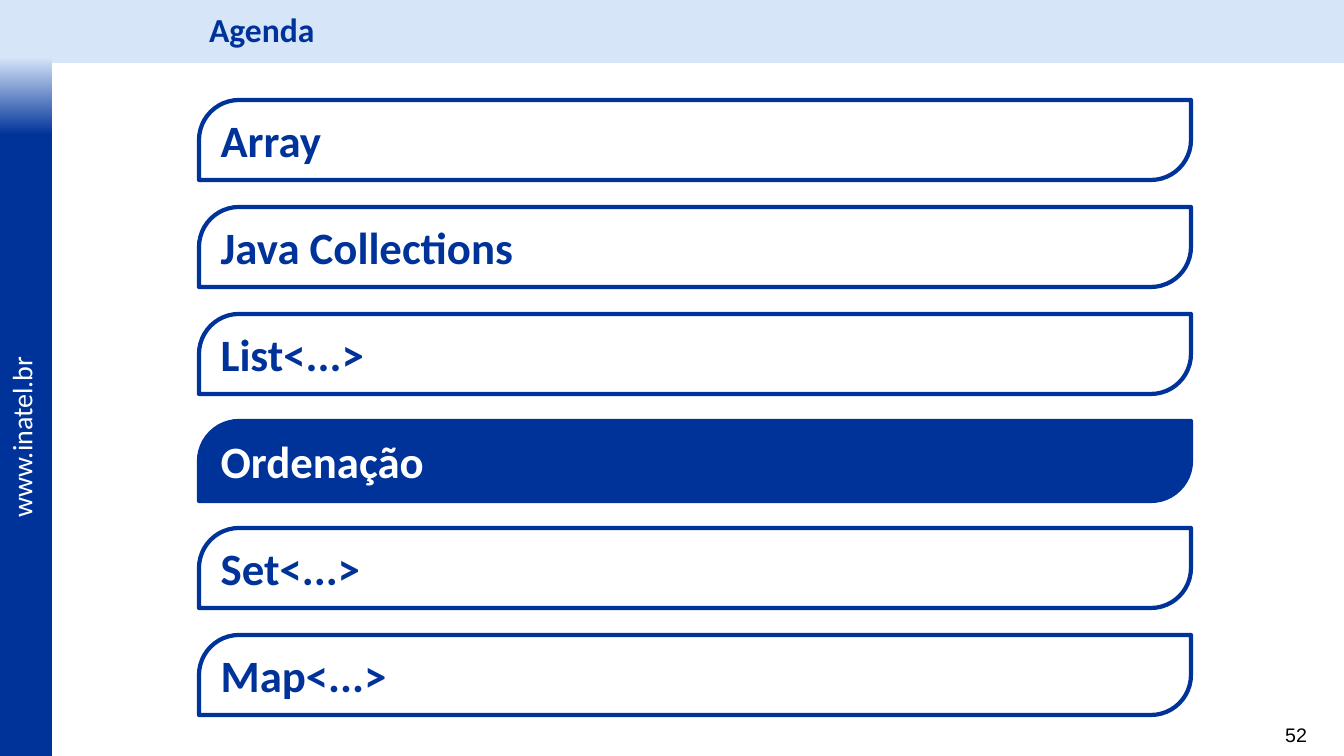
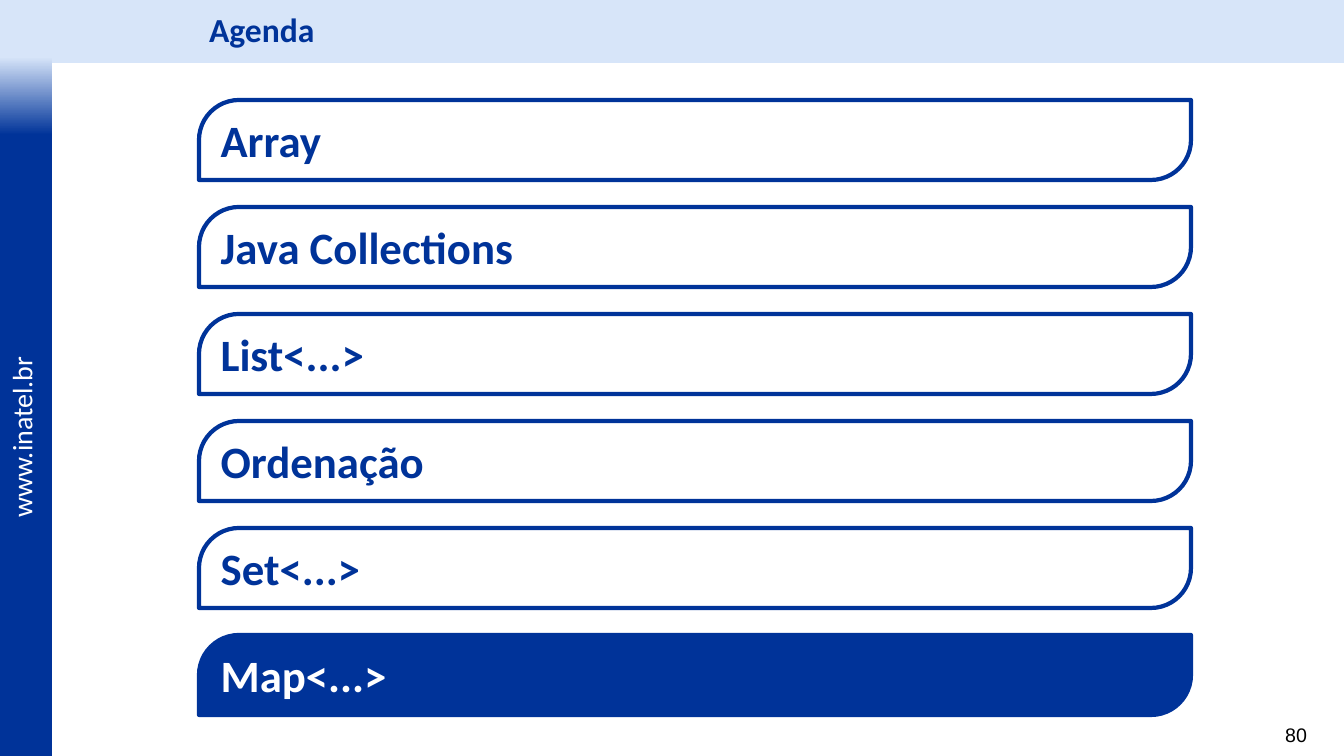
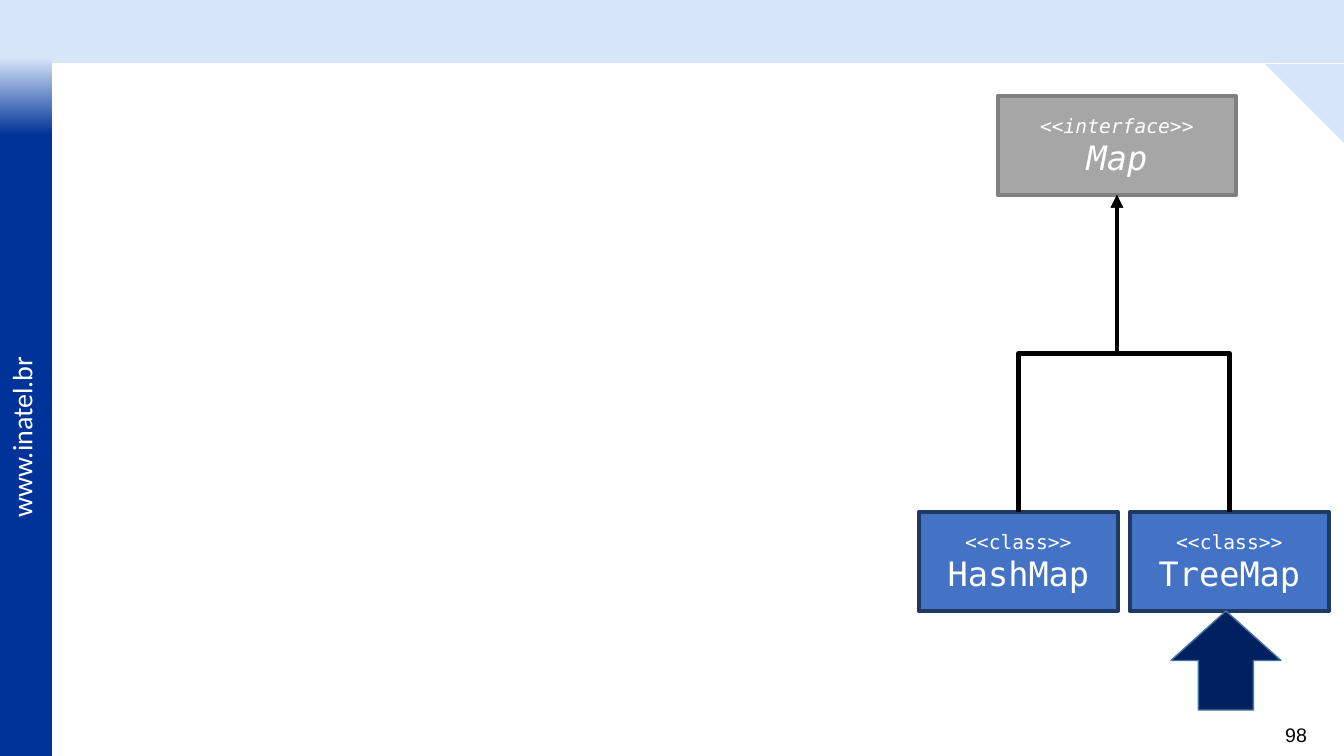
from dataclasses import dataclass

from lxml import etree
from pptx import Presentation
from pptx.dml.color import RGBColor
from pptx.enum.shapes import MSO_CONNECTOR, MSO_SHAPE
from pptx.enum.text import MSO_ANCHOR, MSO_AUTO_SIZE, PP_ALIGN
from pptx.oxml.ns import qn
from pptx.util import Emu, Pt

RECTANGLE = MSO_SHAPE.RECTANGLE
AGENDA_BAR = MSO_SHAPE.ROUND_2_DIAG_RECTANGLE
CORNER = MSO_SHAPE.RIGHT_TRIANGLE
UP_ARROW = MSO_SHAPE.UP_ARROW
ELBOW = MSO_CONNECTOR.ELBOW
MIDDLE, TOP = MSO_ANCHOR.MIDDLE, MSO_ANCHOR.TOP
LEFT, CENTER, RIGHT = PP_ALIGN.LEFT, PP_ALIGN.CENTER, PP_ALIGN.RIGHT
GROW, FIXED = MSO_AUTO_SIZE.SHAPE_TO_FIT_TEXT, MSO_AUTO_SIZE.NONE

PX_PER_INCH = 100.8
WIDTH, HEIGHT = 1344, 756
BAND_HEIGHT, SIDE_WIDTH = 63, 52
CONTENT_LEFT = 199
TITLE_LAYOUT, BLANK_LAYOUT = 5, 6

COLORS = {
    "band": "D7E5F9", "blue": "003399", "white": "FFFFFF", "black": "000000",
    "gray": "A6A6A6", "gray_edge": "808080", "class": "4472C4",
    "class_edge": "203864", "arrow": "002060", "arrow_edge": "43739E",
}

FORMATS = {
    "title": {"name": "Calibri", "size": Pt(24), "bold": True},
    "agenda": {"name": "Calibri", "size": Pt(32), "bold": True},
    "address": {"name": "Calibri", "size": Pt(20)},
    "number": {"name": "Arial", "size": Pt(14)},
    "stereotype": {"name": "DejaVu Sans Mono", "size": Pt(14)},
    "type_name": {"name": "DejaVu Sans Mono", "size": Pt(24)},
}

TOPICS = ("Array", "Java Collections", "List<...>", "Ordenação", "Set<...>", "Map<...>")
BAR_TOP, BAR_PITCH, BAR_WIDTH, BAR_HEIGHT = 100, 107, 992, 80


@dataclass(frozen=True)
class Area:
    left: int
    top: int
    width: int
    height: int

    def emu(self):
        return [px(v) for v in (self.left, self.top, self.width, self.height)]


@dataclass(frozen=True)
class TypeBox:
    stereotype: str
    name: str
    area: Area
    fill: str
    edge: str
    italic: bool = False


MAP_BOX = TypeBox("<<interface>>", "Map", Area(998, 96, 238, 99), "gray", "gray_edge", True)
CLASS_BOXES = [
    TypeBox("<<class>>", name, Area(919 + 211 * i, 512, 199, 99), "class", "class_edge")
    for i, name in enumerate(("HashMap", "TreeMap"))
]


def px(length: int) -> Emu:
    return Emu(round(length * 914400 / PX_PER_INCH))


def rgb(color: str) -> RGBColor:
    return RGBColor.from_string(COLORS[color])


def write(para, text: str, style: str, color: str, align=LEFT, italic: bool = False) -> None:
    para.alignment = align
    span = para.add_run()
    span.text = text
    for name, value in FORMATS[style].items():
        setattr(span.font, name, value)
    span.font.color.rgb = rgb(color)
    if italic:
        span.font.italic = True


def add_shape(page, kind, area: Area, fill: str, edge: str = "", weight: int = 3):
    shape = page.shapes.add_shape(kind, *area.emu())
    shape.shadow.inherit = False
    shape.fill.solid()
    shape.fill.fore_color.rgb = rgb(fill)
    if edge:
        shape.line.color.rgb = rgb(edge)
        shape.line.width = Pt(weight)
    else:
        shape.line.fill.background()
    return shape


def add_text(page, area: Area, text: str, style: str, color: str, align=LEFT):
    box = page.shapes.add_textbox(*area.emu())
    frame = box.text_frame
    frame.word_wrap = True
    frame.auto_size = GROW
    frame.vertical_anchor = TOP
    write(frame.paragraphs[0], text, style, color, align)
    return box


def move_to_master(deck, shapes) -> None:
    """Put shapes on the master so that every page shows them."""
    tree = deck.slide_master.shapes.element
    for number, shape in enumerate(shapes, start=100):
        shape.element.nvSpPr.cNvPr.set("id", str(number))
        tree.append(shape.element)


def add_frame(deck, page) -> None:
    """Top band, side band with its fade, and web address."""
    top_band = add_shape(page, RECTANGLE, Area(0, 0, WIDTH, BAND_HEIGHT), "band")
    side_band = add_shape(page, RECTANGLE, Area(0, 117, SIDE_WIDTH, HEIGHT - 117), "blue")
    fade = add_shape(page, RECTANGLE, Area(0, 57, SIDE_WIDTH, 78), "band")
    fade.fill.gradient()
    fade.fill.gradient_angle = 270
    for stop, position, color in zip(fade.fill.gradient_stops, (0, 1), ("band", "blue")):
        stop.position = position
        stop.color.rgb = rgb(color)
    address = add_text(page, Area(-73, 412, 188, 43), "www.inatel.br", "address", "white")
    address.rotation = 270
    move_to_master(deck, (top_band, side_band, fade, address))


def add_page(deck, layout: int, number: int):
    page = deck.slides.add_slide(deck.slide_layouts[layout])
    add_text(page, Area(1252, 718, 65, 34), str(number), "number", "black", RIGHT)
    return page


def add_agenda(deck, number: int, current: str):
    page = add_page(deck, TITLE_LAYOUT, number)

    # Title
    title = page.shapes.title
    area = Area(CONTENT_LEFT, 0, WIDTH - CONTENT_LEFT, BAND_HEIGHT)
    title.left, title.top, title.width, title.height = area.emu()
    title.text_frame.vertical_anchor = MIDDLE
    title.text_frame.auto_size = FIXED
    para = title.text_frame.paragraphs[0]
    para.line_spacing = 0.9
    write(para, "Agenda", "title", "blue")

    # Topics, the current one filled
    for i, topic in enumerate(TOPICS):
        fill, ink = ("blue", "white") if topic == current else ("white", "blue")
        area = Area(CONTENT_LEFT, BAR_TOP + i * BAR_PITCH, BAR_WIDTH, BAR_HEIGHT)
        bar = add_shape(page, AGENDA_BAR, area, fill, "blue")
        bar.adjustments[0], bar.adjustments[1] = 0.5, 0
        bar.text_frame.vertical_anchor = MIDDLE
        write(bar.text_frame.paragraphs[0], topic, "agenda", ink)
    return page


def add_type(page, item: TypeBox):
    shape = add_shape(page, RECTANGLE, item.area, item.fill, item.edge)
    frame = shape.text_frame
    frame.vertical_anchor = MIDDLE
    write(frame.paragraphs[0], item.stereotype, "stereotype", "white", CENTER, item.italic)
    write(frame.add_paragraph(), item.name, "type_name", "white", CENTER, item.italic)
    return shape


def add_inheritance(page, child, parent) -> None:
    """Elbow arrow from the child's top up to the parent's bottom."""
    start_x, start_y = child.left + child.width // 2, child.top
    end_x, end_y = parent.left + parent.width // 2, parent.top + parent.height
    link = page.shapes.add_connector(ELBOW, start_x, start_y, end_x, end_y)
    link.begin_connect(child, 0)
    link.end_connect(parent, 2)
    link.line.color.rgb = rgb("black")
    link.line.width = Pt(3)

    # A quarter turn makes the elbow leave vertically
    rise, run = start_y - end_y, abs(end_x - start_x)
    link.left = Emu((start_x + end_x - rise) // 2)
    link.top = Emu((start_y + end_y - run) // 2)
    link.width, link.height = Emu(rise), Emu(run)
    properties = link.element.spPr
    transform = properties.find(qn("a:xfrm"))
    transform.set("rot", str(270 * 60000))
    transform.set("flipH", "0")
    transform.set("flipV", "1" if end_x < start_x else "0")

    etree.SubElement(link.line._get_or_add_ln(), qn("a:tailEnd"), type="triangle")
    etree.SubElement(properties, qn("a:effectLst"))


def add_map_diagram(deck, number: int) -> None:
    page = add_page(deck, BLANK_LAYOUT, number)
    corner = add_shape(page, CORNER, Area(WIDTH - 79, 64, 79, 79), "band")
    corner.rotation = 180

    # Class hierarchy
    parent = add_type(page, MAP_BOX)
    children = [add_type(page, item) for item in CLASS_BOXES]
    for child in children:
        add_inheritance(page, child, parent)

    # Pointer to the current class
    add_shape(page, UP_ARROW, Area(1171, 611, 110, 99), "arrow", "arrow_edge", 1)


def main() -> None:
    deck = Presentation()
    deck.slide_width, deck.slide_height = px(WIDTH), px(HEIGHT)
    first_page = add_agenda(deck, 52, "Ordenação")
    add_frame(deck, first_page)
    add_agenda(deck, 80, "Map<...>")
    add_map_diagram(deck, 98)
    deck.save("out.pptx")


if __name__ == "__main__":
    main()
